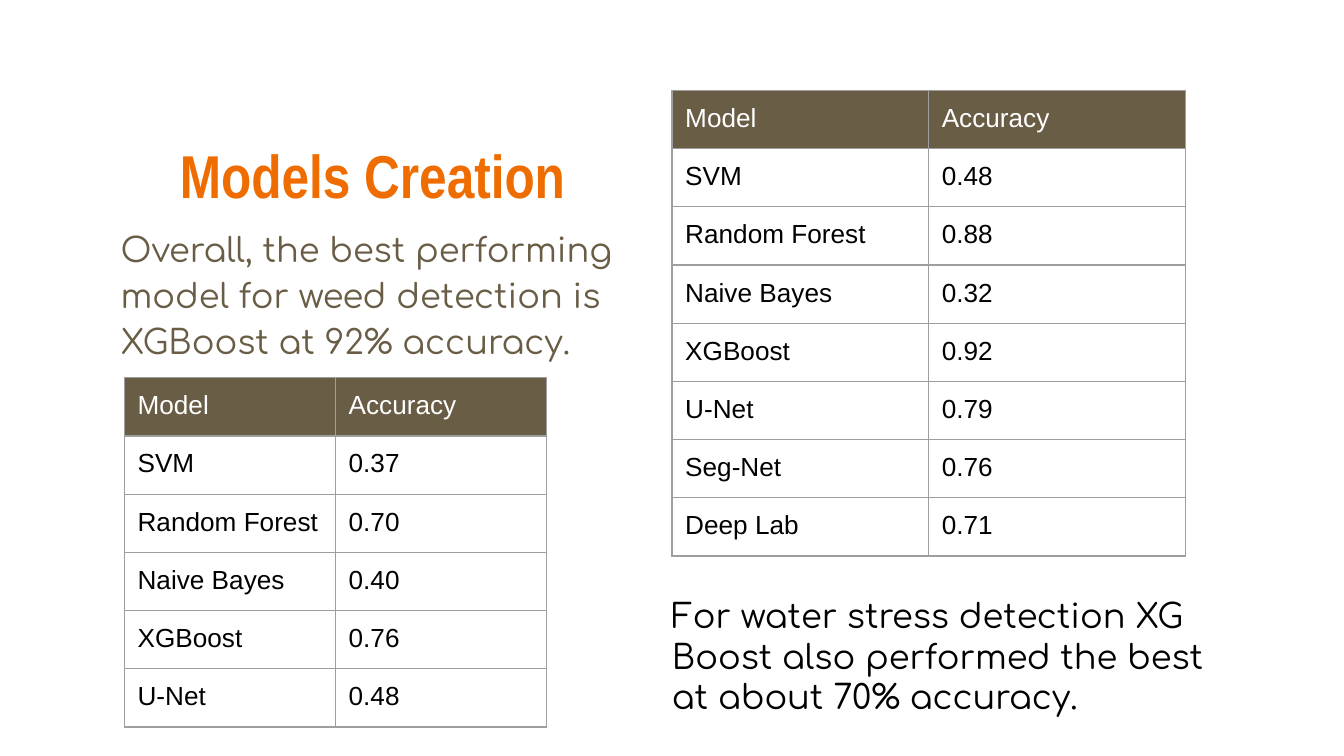
from lxml.etree import SubElement
from pptx import Presentation
from pptx.dml.color import RGBColor
from pptx.enum.text import MSO_ANCHOR
from pptx.oxml.ns import qn
from pptx.util import Cm, Pt

BROWN = "695D46"
ORANGE = "EF6C00"
GRAY = "9E9E9E"
WHITE = "FFFFFF"
BLACK = "000000"
MARGIN = Cm(0.25)
ROW_HEIGHT = 1.1


def color(value):
    return RGBColor.from_string(value)


def add_text(paragraph, text, size, font_name, text_color, bold=False):
    run = paragraph.add_run()
    run.text = text
    run.font.size = Pt(size)
    run.font.name = font_name
    run.font.bold = bold
    run.font.color.rgb = color(text_color)


presentation = Presentation()
presentation.slide_width = Cm(25.4)
presentation.slide_height = Cm(14.29)
slide = presentation.slides.add_slide(presentation.slide_layouts[6])
slide.background.fill.solid()
slide.background.fill.fore_color.rgb = color(WHITE)

texts = [
    ("Models Creation", 3.15, 2.36, 8.89, 1.27, 32.4, "Arial Narrow", ORANGE, True, 1, 0),
    ("Overall, the best performing model for weed detection is XGBoost at 92% accuracy.",
     2.03, 3.96, 10.01, 4.27, 18, "Comfortaa", BROWN, False, 1.15, 12),
    ("For water stress detection XG Boost also performed the best at about 70% accuracy.",
     12.45, 11, 11.05, 2.82, 18, "Comfortaa", BLACK, False, 1, 0),
]
for text, left, top, width, height, size, font_name, text_color, bold, spacing, after in texts:
    box = slide.shapes.add_textbox(Cm(left), Cm(top), Cm(width), Cm(height))
    frame = box.text_frame
    frame.word_wrap = True
    frame.vertical_anchor = MSO_ANCHOR.TOP
    frame.margin_left = frame.margin_right = MARGIN
    frame.margin_top = frame.margin_bottom = MARGIN
    paragraph = frame.paragraphs[0]
    paragraph.line_spacing = spacing
    paragraph.space_after = Pt(after)
    add_text(paragraph, text, size, font_name, text_color, bold)

header = ("Model", "Accuracy")
water_stress_rows = [
    header, ("SVM", "0.37"), ("Random Forest", "0.70"), ("Naive Bayes", "0.40"),
    ("XGBoost", "0.76"), ("U-Net", "0.48"),
]
weed_rows = [
    header, ("SVM", "0.48"), ("Random Forest", "0.88"), ("Naive Bayes", "0.32"),
    ("XGBoost", "0.92"), ("U-Net", "0.79"), ("Seg-Net", "0.76"), ("Deep Lab", "0.71"),
]
tables = [(weed_rows, 12.7, 1.71, 4.85), (water_stress_rows, 2.35, 7.14, 3.99)]

for rows, left, top, column_width in tables:
    shape = slide.shapes.add_table(
        len(rows), len(header), Cm(left), Cm(top),
        Cm(column_width * len(header)), Cm(ROW_HEIGHT * len(rows)))
    table = shape.table
    table.first_row = False
    table.horz_banding = False
    for column in table.columns:
        column.width = Cm(column_width)
    for row_index, values in enumerate(rows):
        table.rows[row_index].height = Cm(ROW_HEIGHT)
        for column_index, value in enumerate(values):
            cell = table.cell(row_index, column_index)
            cell.margin_left = cell.margin_right = MARGIN
            cell.margin_top = cell.margin_bottom = MARGIN
            properties = cell._tc.get_or_add_tcPr()
            for side in ("a:lnL", "a:lnR", "a:lnT", "a:lnB"):
                border = SubElement(properties, qn(side), w=str(Pt(0.75)))
                border_fill = SubElement(border, qn("a:solidFill"))
                SubElement(border_fill, qn("a:srgbClr"), val=GRAY)
            if row_index == 0:
                cell.fill.solid()
                cell.fill.fore_color.rgb = color(BROWN)
            else:
                cell.fill.background()
            text_color = WHITE if row_index == 0 else BLACK
            add_text(cell.text_frame.paragraphs[0], value, 14, "Arial", text_color)

presentation.save("out.pptx")
